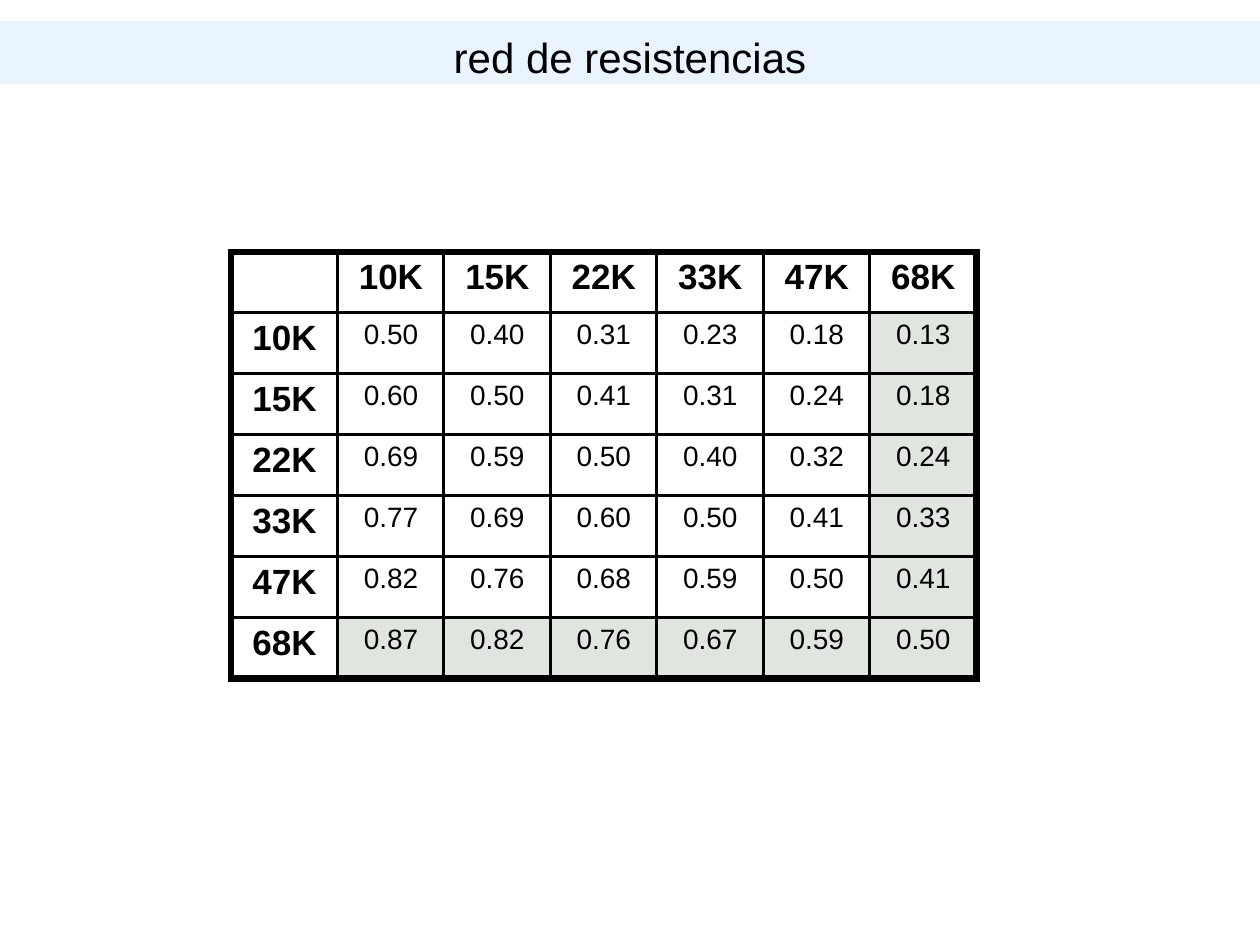
from lxml.etree import SubElement
from pptx import Presentation
from pptx.dml.color import RGBColor
from pptx.enum.shapes import MSO_SHAPE
from pptx.enum.text import MSO_ANCHOR, PP_ALIGN
from pptx.oxml.ns import qn
from pptx.util import Emu, Pt

BLACK = RGBColor(0x00, 0x00, 0x00)
WHITE = RGBColor(0xFF, 0xFF, 0xFF)
SKY = RGBColor(0x99, 0xCC, 0xFF)
SAGE = RGBColor(0xE1, 0xE5, 0xDF)

TITLE = {"size": Pt(24), "bold": False}
HEAD = {"size": Pt(20), "bold": True}
BODY = {"size": Pt(16), "bold": False}
THIN, THICK = Pt(2), Pt(4.5)
OHMS = [10, 15, 22, 33, 47, 68]


def px(n):
    return Emu(round(n * 914400 / 126))


class Deck:
    def __init__(self, wide, high):
        self.show = Presentation()
        self.show.slide_width, self.show.slide_height = px(wide), px(high)
        self.slide = self.show.slides.add_slide(self.show.slide_layouts[6])
        self.base = {"name": "Arial", "italic": False}

    def label(self, frame, text, style):
        para = frame.paragraphs[0]
        para.alignment = PP_ALIGN.CENTER
        run = para.add_run()
        run.text = text
        for key, value in {**self.base, **style}.items():
            setattr(run.font, key, value)
        run.font.color.rgb = BLACK

    def band(self, text, left, top, wide, high):
        shape = self.slide.shapes.add_shape(
            MSO_SHAPE.RECTANGLE, px(left), px(top), px(wide), px(high))
        shape.shadow.inherit = False
        shape.line.fill.background()
        shape.fill.solid()
        shape.fill.fore_color.rgb = SKY
        color = shape.element.spPr.find(qn("a:solidFill"))[0]
        SubElement(color, qn("a:alpha"), val="20000")
        frame = shape.text_frame
        form = {"word_wrap": True, "vertical_anchor": MSO_ANCHOR.TOP,
                "margin_top": px(11), "margin_bottom": px(4)}
        for key, value in form.items():
            setattr(frame, key, value)
        self.label(frame, text, TITLE)

    def edge(self, cell, side, width):
        line = SubElement(cell._tc.get_or_add_tcPr(), qn("a:ln" + side), w=str(width))
        fill = SubElement(line, qn("a:solidFill"))
        SubElement(fill, qn("a:srgbClr"), val=str(BLACK))

    def grid(self, rows, left, top, wides, high):
        last = len(rows) - 1
        table = self.slide.shapes.add_table(
            len(rows), len(wides), px(left), px(top),
            px(sum(wides)), px(high * len(rows))).table
        table.first_row = table.horz_banding = False
        for col, wide in zip(table.columns, wides):
            col.width = px(wide)
        for r, row in enumerate(rows):
            table.rows[r].height = px(high)
            for c, text in enumerate(row):
                cell = table.cell(r, c)
                outer = {"L": c == 0, "R": c == last, "T": r == 0, "B": r == last}
                for side, rim in outer.items():
                    self.edge(cell, side, THICK if rim else THIN)
                inner = r > 0 and c > 0
                cell.fill.solid()
                cell.fill.fore_color.rgb = SAGE if inner and last in (r, c) else WHITE
                if text:
                    self.label(cell.text_frame, text, BODY if inner else HEAD)


def main():
    deck = Deck(1260, 945)
    deck.band("red de resistencias", 0, 21, 1260, 63)
    names = [f"{ohm}K" for ohm in OHMS]
    rows = [[""] + names]
    for name, low in zip(names, OHMS):
        rows.append([name] + [f"{low / (low + high):.2f}" for high in OHMS])
    deck.grid(rows, 231, 252, [107 - c % 2 for c in range(7)], 61)
    deck.show.save("out.pptx")


if __name__ == "__main__":
    main()
